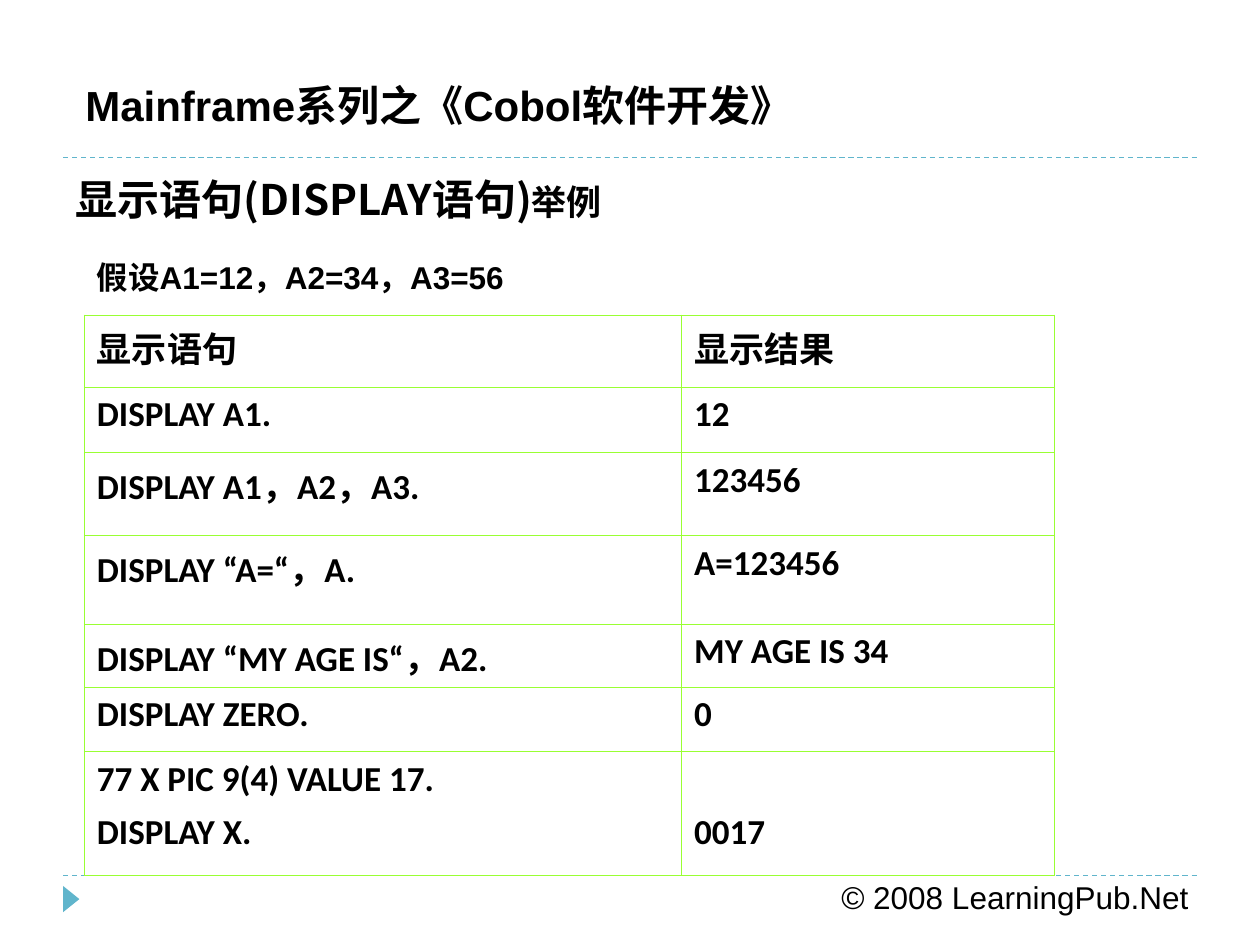
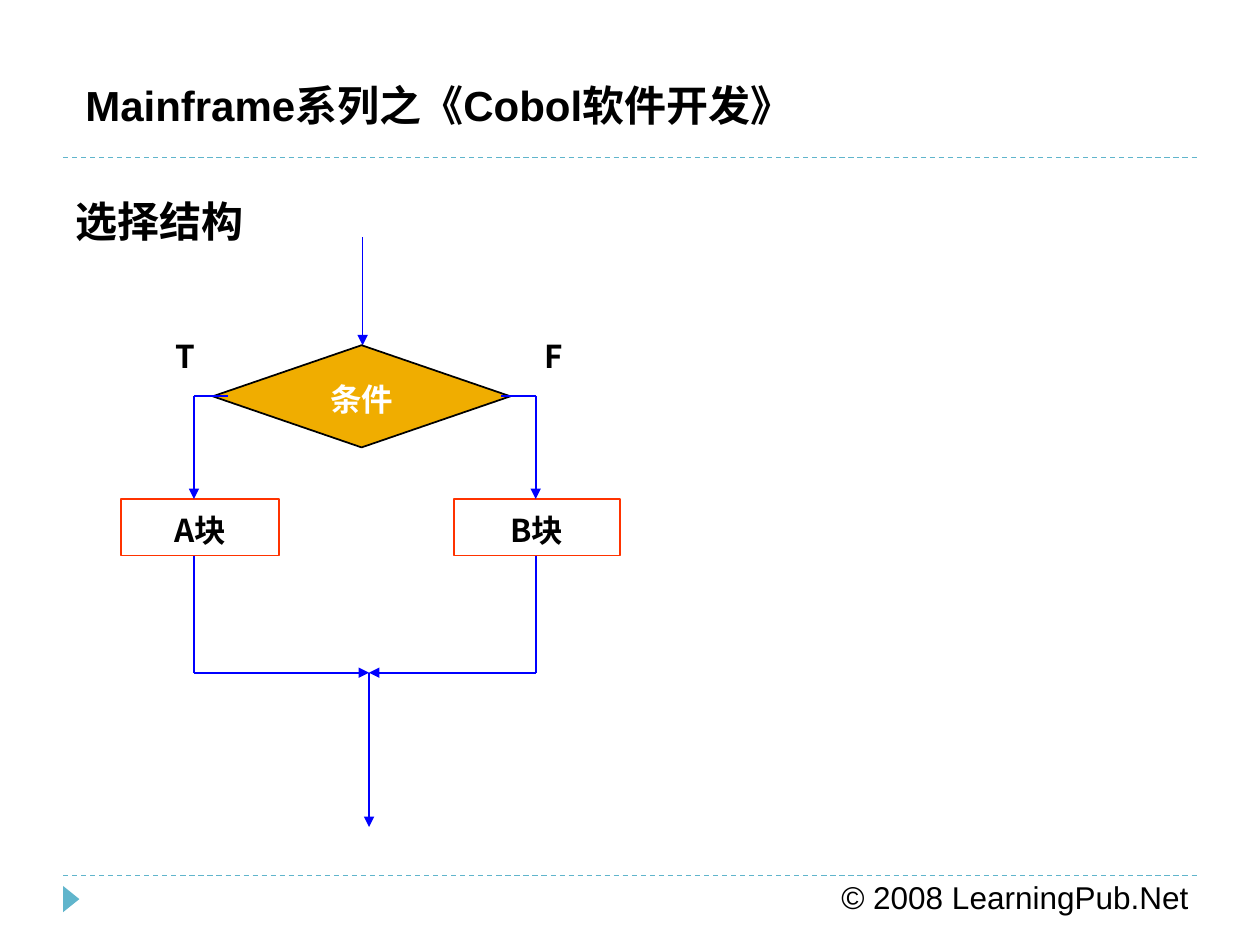
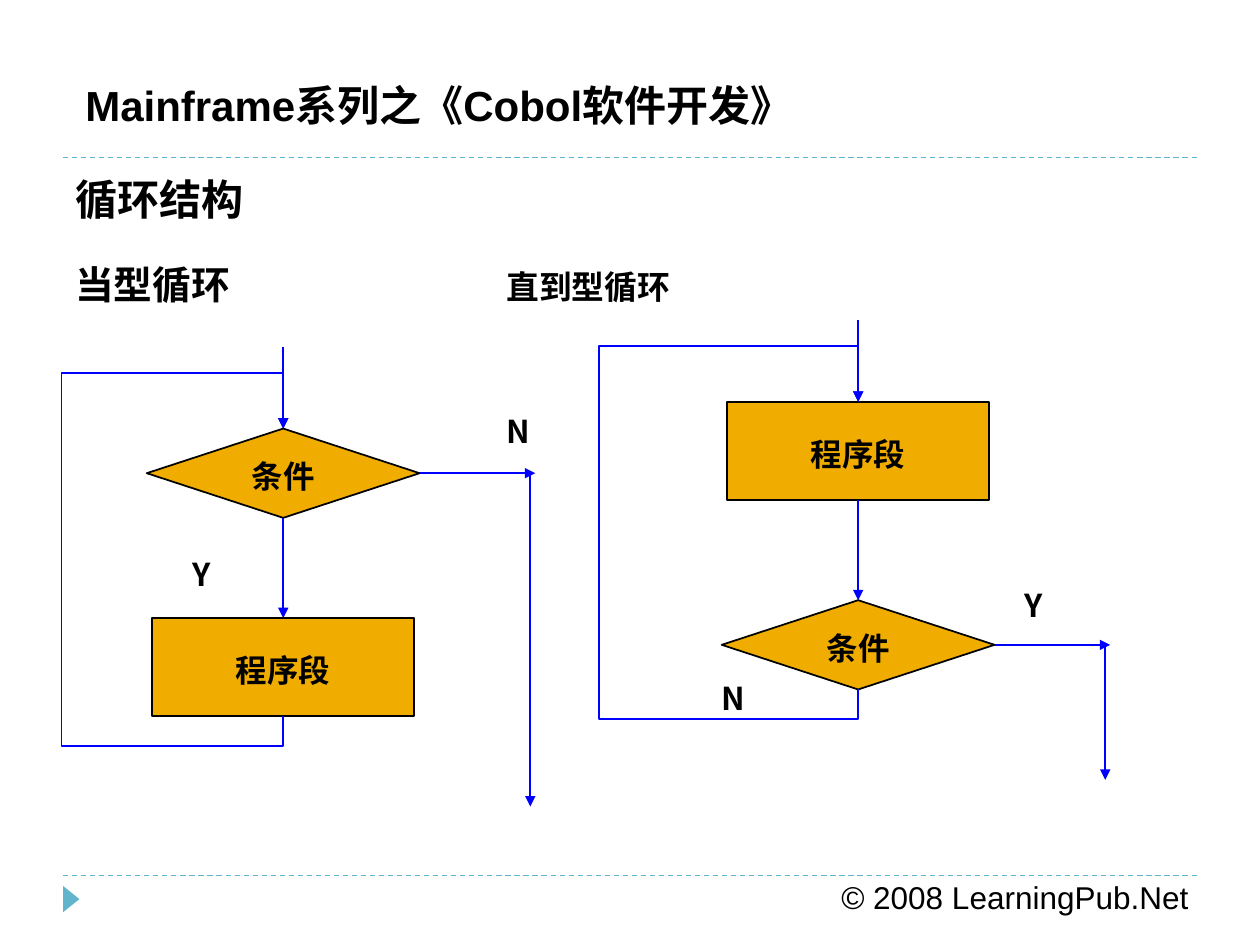
from dataclasses import dataclass

from lxml import etree
from pptx import Presentation
from pptx.dml.color import RGBColor
from pptx.enum.dml import MSO_LINE
from pptx.enum.shapes import MSO_CONNECTOR, MSO_SHAPE
from pptx.enum.text import MSO_ANCHOR, MSO_AUTO_SIZE, PP_ALIGN
from pptx.oxml.ns import qn
from pptx.util import Cm, Pt

STRAIGHT = MSO_CONNECTOR.STRAIGHT
DASH = MSO_LINE.DASH
RECTANGLE, DIAMOND = MSO_SHAPE.RECTANGLE, MSO_SHAPE.DIAMOND
TRIANGLE = MSO_SHAPE.ISOSCELES_TRIANGLE
TOP, MIDDLE, BOTTOM = MSO_ANCHOR.TOP, MSO_ANCHOR.MIDDLE, MSO_ANCHOR.BOTTOM
LEFT, CENTER = PP_ALIGN.LEFT, PP_ALIGN.CENTER

BLACK, WHITE = "000000", "FFFFFF"
TEAL, BLUE, AMBER, RED, LIME = "60B5CC", "0000FF", "F0AD00", "FF3300", "99FF33"
SANS, CJK, SERIF, BODY = "Arial", "Noto Sans CJK SC", "TeX Gyre Bonum", "Calibri"

DISPLAY_ROWS = [  # height, statement, result
    (1.45, "显示语句", "显示结果"),
    (1.32, "DISPLAY A1.", "12"),
    (1.68, "DISPLAY A1，A2，A3.", "123456"),
    (1.78, "DISPLAY “A=“，A.", "A=123456"),
    (1.27, "DISPLAY “MY AGE IS“，A2.", "MY AGE IS 34"),
    (1.3, "DISPLAY ZERO.", "0"),
    (2.49, "77 X PIC 9(4) VALUE 17.\nDISPLAY X.", "0017"),
]


def rgb(value):
    return RGBColor.from_string(value)


def style(paragraph, font, size, color=BLACK, bold=True, align=LEFT):
    paragraph.alignment = align
    paragraph.font.name = font
    paragraph.font.size = Pt(size)
    paragraph.font.bold = bold
    paragraph.font.color.rgb = rgb(color)


def set_line(line, color, width=1):
    line.color.rgb = rgb(color)
    line.width = Pt(width)


def add_arrowhead(shape):
    outline = shape._element.spPr.find(qn("a:ln"))
    etree.SubElement(outline, qn("a:tailEnd"), type="triangle")


def add_text(slide, box, text, font, size, **look):
    frame = slide.shapes.add_textbox(*map(Cm, box)).text_frame
    frame.word_wrap = True
    frame.text = text
    style(frame.paragraphs[0], font, size, **look)
    return frame.paragraphs[0]


def add_line(slide, start, end, color, width=1):
    line = slide.shapes.add_connector(STRAIGHT, *map(Cm, (*start, *end)))
    set_line(line.line, color, width)
    etree.SubElement(line._element.spPr, qn("a:effectLst"))
    return line


def add_course_slide(prs, title, top, height, font):
    """Add a slide with the course header, footer and its own title."""
    slide = prs.slides.add_slide(prs.slide_layouts[5])
    for y in (3.18, 17.65):
        add_line(slide, (1.27, y), (24.13, y), TEAL, 0.75).line.dash_style = DASH
    marker = slide.shapes.add_shape(TRIANGLE, Cm(1.17), Cm(17.96), Cm(0.53), Cm(0.33))
    marker.rotation = 90
    marker.shadow.inherit = False
    marker.fill.solid()
    marker.fill.fore_color.rgb = rgb(TEAL)
    marker.line.fill.background()
    add_text(slide, (16.71, 17.58, 7.62, 1.02), "© 2008 LearningPub.Net",
             SANS, 18, bold=False)
    add_text(slide, (1.47, 1.47, 15.44, 1.27), "Mainframe系列之《Cobol软件开发》",
             SANS, 24)

    heading = slide.shapes.title
    heading.left, heading.top = Cm(1.27), Cm(top)
    heading.width, heading.height = Cm(22.86), Cm(height)
    frame = heading.text_frame
    frame.text = title
    frame.vertical_anchor = TOP
    frame.auto_size = MSO_AUTO_SIZE.NONE
    style(frame.paragraphs[0], font, 24)
    return slide


@dataclass
class FlowChart:
    """Places flow chart parts, in cm, relative to its top left corner."""
    slide: object
    left: float
    top: float

    def at(self, x, y):
        return self.left + x, self.top + y

    def step(self, kind, x, y, width, height, text, fill=AMBER, line=BLACK, color=BLACK):
        shape = self.slide.shapes.add_shape(
            kind, *map(Cm, (*self.at(x, y), width, height)))
        shape.shadow.inherit = False
        if fill:
            shape.fill.solid()
            shape.fill.fore_color.rgb = rgb(fill)
        else:
            shape.fill.background()
        set_line(shape.line, line)
        frame = shape.text_frame
        frame.margin_left = frame.margin_right = 0
        frame.margin_top = frame.margin_bottom = 0
        frame.vertical_anchor = MIDDLE
        frame.text = text
        frame.paragraphs[0].line_spacing = 1.15
        style(frame.paragraphs[0], CJK, 18, color, align=CENTER)

    def label(self, x, y, text):
        paragraph = add_text(self.slide, (*self.at(x, y), 1.6, 1.14), text,
                             CJK, 18, align=CENTER)
        paragraph.line_spacing = 1.15

    def line(self, start, end):
        return add_line(self.slide, self.at(*start), self.at(*end), BLUE)

    def arrow(self, start, end):
        add_arrowhead(self.line(start, end))

    def bent_arrow(self, *points):
        start, *rest = [tuple(map(Cm, self.at(*point))) for point in points]
        builder = self.slide.shapes.build_freeform(*start)
        builder.add_line_segments(rest, close=False)
        route = builder.convert_to_shape()
        route.shadow.inherit = False
        route.fill.background()
        set_line(route.line, BLUE)
        add_arrowhead(route)


def set_borders(cell):
    properties = cell._tc.get_or_add_tcPr()
    for position, side in enumerate(("lnL", "lnR", "lnT", "lnB")):
        border = etree.Element(qn(f"a:{side}"), w=str(Pt(0.45)))
        fill = etree.SubElement(border, qn("a:solidFill"))
        etree.SubElement(fill, qn("a:srgbClr"), val=LIME)
        properties.insert(position, border)


def add_display_table(slide, left, top):
    widths = (12.04, 7.52)
    height = sum(row[0] for row in DISPLAY_ROWS)
    table = slide.shapes.add_table(len(DISPLAY_ROWS), len(widths), Cm(left), Cm(top),
                                   Cm(sum(widths)), Cm(height)).table
    table.first_row = table.horz_banding = False
    for column, width in zip(table.columns, widths):
        column.width = Cm(width)
    for row, (row_height, *texts) in zip(table.rows, DISPLAY_ROWS):
        row.height = Cm(row_height)
        for cell, text in zip(row.cells, texts):
            cell.text = text
            cell.fill.background()
            set_borders(cell)
            for index, paragraph in enumerate(cell.text_frame.paragraphs):
                if index:
                    paragraph.space_before = Pt(6)
                style(paragraph, BODY, 20)
    # The last result lines up with the second line of its statement.
    last_result = table.cell(len(DISPLAY_ROWS) - 1, 1)
    last_result.vertical_anchor = BOTTOM
    last_result.margin_bottom = Cm(0.42)


def add_selection(slide, left, top):
    chart = FlowChart(slide, left, top)
    entry_x, merge_x = 4.87, 5.0
    branch_y, block_y, block_height, merge_y = 3.2, 5.28, 1.14, 8.78
    chart.arrow((entry_x, 0), (entry_x, 2.18))
    chart.step(DIAMOND, 1.85, 2.18, 6, 2.06, "条件", color=WHITE)
    branches = [  # branch x, condition edge, block left, block width, label left
        (1.47, 2.16, 0, 3.18, "A块", 0.5, "T"),
        (8.36, 7.65, 6.71, 3.35, "B块", 7.92, "F"),
    ]
    for x, edge, block_x, width, block, label_x, answer in branches:
        chart.step(RECTANGLE, block_x, block_y, width, block_height, block,
                   fill=None, line=RED)
        chart.label(label_x, 1.78, answer)
        chart.line((edge, branch_y), (x, branch_y))
        chart.arrow((x, branch_y), (x, block_y))
        chart.line((x, block_y + block_height), (x, merge_y))
        chart.arrow((x, merge_y), (merge_x, merge_y))
    chart.arrow((merge_x, merge_y), (merge_x, 11.89))


def add_loop(slide, left, top, axis, steps, labels):
    """Draw two steps on a vertical axis, a way back and an exit."""
    chart = FlowChart(slide, left, top)
    sizes = {DIAMOND: (5.5, 1.8), RECTANGLE: (5.28, 1.98)}
    first_y, gap, return_y = 1.65, 2.02, 0.53
    y = first_y
    for kind, text in steps:
        width, height = sizes[kind]
        chart.step(kind, axis - width / 2, y, width, height, text)
        if kind == DIAMOND:
            exit_x, exit_y = axis + width / 2, y + height / 2
        if y == first_y:
            chart.arrow((axis, y + height), (axis, y + height + gap))
        y += height + gap
    bottom = y - gap
    chart.arrow((axis, 0), (axis, first_y))
    chart.bent_arrow((axis, bottom), (axis, bottom + 0.6), (0, bottom + 0.6),
                     (0, return_y), (axis, return_y), (axis, first_y))
    chart.arrow((exit_x, exit_y), (exit_x + 2.33, exit_y))
    chart.arrow((exit_x + 2.23, exit_y), (exit_x + 2.23, 9.27))
    for x, label_y, answer in labels:
        chart.label(x, label_y, answer)


def add_loop_names(slide):
    names = add_text(slide, (1.27, 5.13, 23.24, 1.22), "", BODY, 22.1)
    tabs = etree.Element(qn("a:tabLst"))
    etree.SubElement(tabs, qn("a:tab"), pos=str(Cm(8.69)), algn="l")
    names._p.get_or_add_pPr().insert(0, tabs)
    names.add_run().text = "当型循环\t"
    until = names.add_run()
    until.text = "直到型循环"
    until.font.size = Pt(18.7)


def main():
    prs = Presentation()
    prs.slide_width, prs.slide_height = Cm(25.4), Cm(19.05)

    display = add_course_slide(prs, "显示语句(DISPLAY语句)", 3.38, 1.27, CJK)
    example = display.shapes.title.text_frame.paragraphs[0].add_run()
    example.text = "举例"
    example.font.size = Pt(20)
    add_text(display, (1.7, 5.08, 22.02, 1.02), "假设A1=12，A2=34，A3=56", SANS, 18)
    add_display_table(display, 1.7, 6.35)

    selection = add_course_slide(prs, "选择结构", 3.81, 3.18, SERIF)
    add_selection(selection, 2.44, 4.78)

    loops = add_course_slide(prs, "循环结构", 3.38, 3.18, SERIF)
    add_loop_names(loops)
    condition, body = (DIAMOND, "条件"), (RECTANGLE, "程序段")
    add_loop(loops, 1.24, 6.99, 4.47, (condition, body),
             [(2.02, 3.96, "Y"), (8.4, 1.07, "N")])
    add_loop(loops, 12.07, 6.45, 5.23, (body, condition),
             [(7.97, 5.13, "Y"), (1.91, 6.99, "N")])

    prs.save("out.pptx")


if __name__ == "__main__":
    main()
